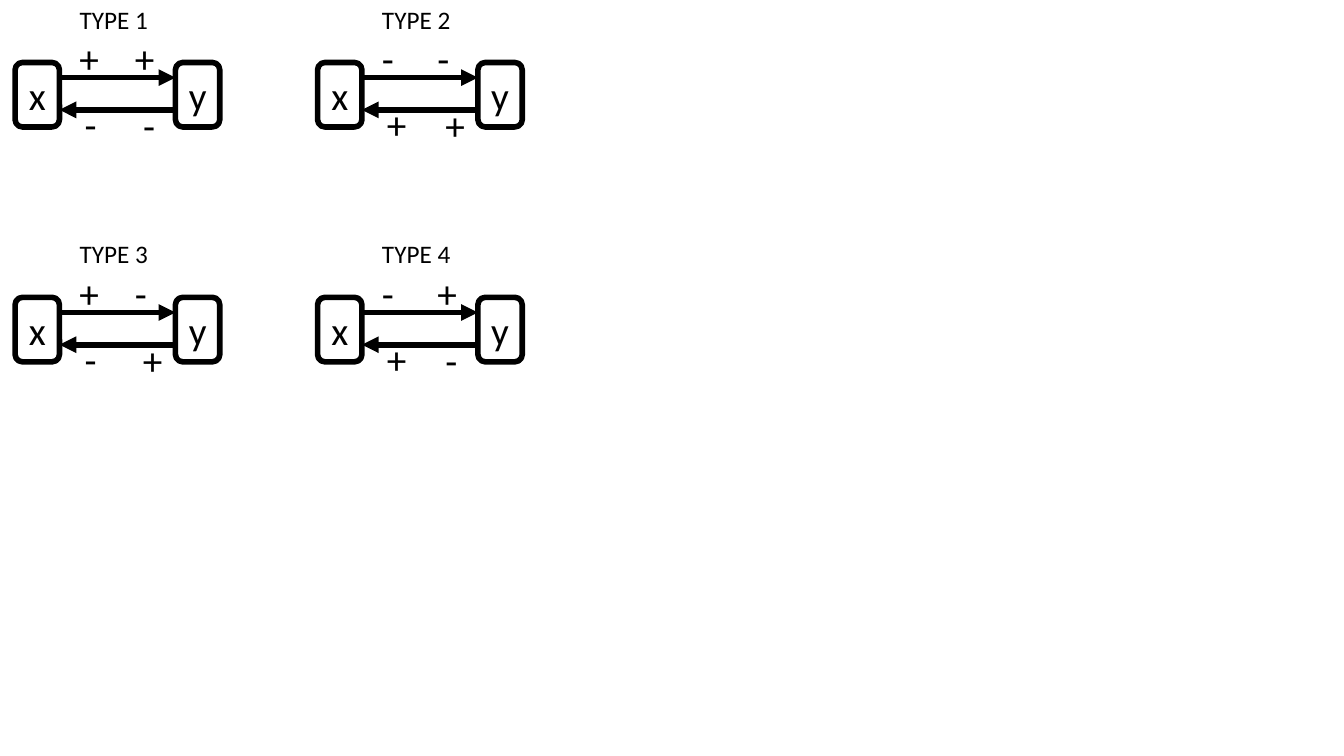
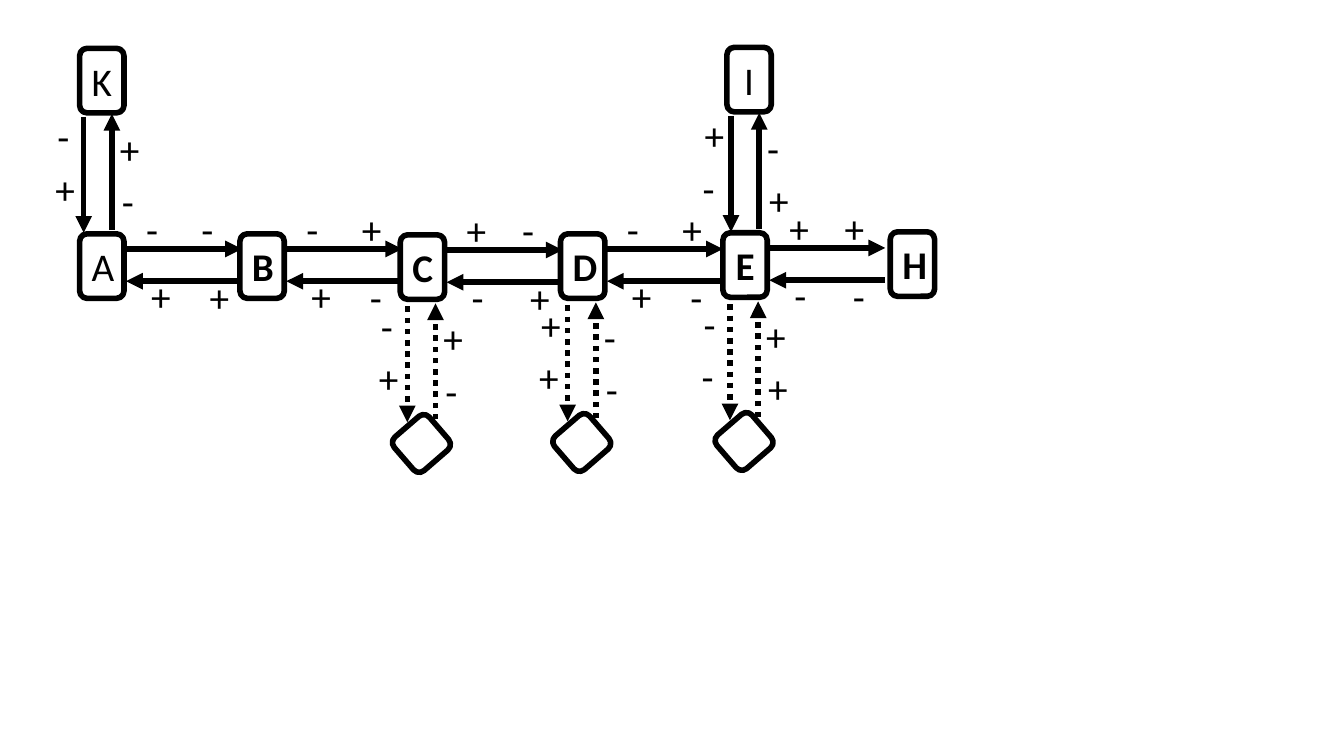
from pptx import Presentation
from pptx import util as u
from pptx.dml.color import RGBColor
from pptx.enum import dml, shapes, text
from pptx.oxml import parse_xml
from pptx.oxml.ns import nsdecls

COLOURS = {"ink": "000000"}
FONT = {"name": "Calibri", "size": u.Pt(28), "bold": False}
STROKE = u.Pt(4)
BOX_W, BOX_H = 0.44, 0.64
DIAMOND_H, DIAMOND_TURN = 0.46, 49.2
REACH = 1.15
SIGN_H = 0.57
SIGN_WIDTHS = {"+": 0.40, "-": 0.32}

ACROSS = {
    "arrows": [(0, 0, REACH, 0), (REACH, 0.32, 0, 0.32)],
    "signs": [(0.10, -0.48), (0.65, -0.48), (0.15, 0.18), (0.73, 0.19)],
}
UPRIGHT = {
    "arrows": [(0, 0, 0, REACH), (0.28, 1.12, 0.28, -0.03)],
    "signs": [(-0.36, -0.09), (-0.38, 0.43), (0.26, 0.03), (0.28, 0.55)],
}

TYPES = [["++--", "--++"], ["+--+", "-++-"]]
CHAIN = {
    "A": (0.79, 2.32, "--++"),
    "B": (2.38, 2.32, "-++-"),
    "C": (3.97, 2.33, "+--+"),
    "D": (5.56, 2.32, "-++-"),
    "E": (7.17, 2.31, "++--"),
    "H": (8.83, 2.30, ""),
}
ABOVE = {"K": ("A", 0.04, "-++-"), "I": ("E", 0.08, "+--+")}
BELOW = {"C": "-++-", "D": "++--", "E": "--++"}


def inches(*lengths):
    """Turn lengths in inches into slide units."""
    return [u.Inches(length) for length in lengths]


def ink():
    """Return the drawing colour."""
    return RGBColor.from_string(COLOURS["ink"])


def write(frame, words, align=None, **changes):
    """Write one formatted line of text in a frame."""
    line = frame.paragraphs[0]
    line.alignment = align
    run = line.add_run()
    run.text = words
    for key, value in {**FONT, **changes}.items():
        setattr(run.font, key, value)
    run.font.color.rgb = ink()


def label(slide, left, top, width, height, words, **changes):
    """Place a caption or sign that does not wrap."""
    frame = slide.shapes.add_textbox(*inches(left, top, width, height)).text_frame
    frame.word_wrap = False
    frame.auto_size = text.MSO_AUTO_SIZE.SHAPE_TO_FIT_TEXT
    write(frame, words, **changes)


def node(slide, left, top, name="", height=BOX_H, turn=0, bold=False):
    """Draw an outlined node with an optional name."""
    box = slide.shapes.add_shape(
        shapes.MSO_SHAPE.ROUNDED_RECTANGLE, *inches(left, top, BOX_W, height))
    box.shadow.inherit = False
    box.fill.background()
    box.line.color.rgb = ink()
    box.line.width = STROKE
    box.rotation = turn
    if name:
        box.text_frame.vertical_anchor = text.MSO_ANCHOR.MIDDLE
        write(box.text_frame, name, text.PP_ALIGN.CENTER, bold=bold)


def arrow(slide, x1, y1, x2, y2, dotted=False):
    """Draw a solid or dotted arrow."""
    link = slide.shapes.add_connector(
        shapes.MSO_CONNECTOR.STRAIGHT, *inches(x1, y1, x2, y2))
    link.line.color.rgb = ink()
    link.line.width = STROKE
    if dotted:
        link.line.dash_style = dml.MSO_LINE.ROUND_DOT
    link.line._get_or_add_ln().append(
        parse_xml(f'<a:tailEnd {nsdecls("a")} type="triangle"/>'))
    link._element.spPr.append(parse_xml(f'<a:effectLst {nsdecls("a")}/>'))


def feedback(slide, left, top, signs, plan, dotted=False):
    """Draw a pair of opposite arrows with their four signs."""
    for x1, y1, x2, y2 in plan["arrows"]:
        arrow(slide, left + x1, top + y1, left + x2, top + y2, dotted)
    for sign, (dx, dy) in zip(signs, plan["signs"]):
        label(slide, left + dx, top + dy, SIGN_WIDTHS[sign], SIGN_H, sign)


def type_panel(slide, left, top, number, signs):
    """Draw one type of relation between x and y."""
    label(slide, left + 0.54, top, 0.89, 0.4, f"TYPE {number}", size=u.Pt(18))
    node(slide, left, top + 0.63, "x")
    node(slide, left + 1.59, top + 0.63, "y")
    feedback(slide, left + 0.44, top + 0.78, signs, ACROSS)


def types_slide(slide):
    """Lay out the four types in a grid."""
    for row, pair in enumerate(TYPES):
        for column, signs in enumerate(pair):
            type_panel(slide, 0.15 + 3 * column, -0.01 + 2.33 * row,
                       2 * row + column + 1, signs)


def network_slide(slide):
    """Draw the chain of nodes with its upper and lower branches."""
    for name, (left, top, signs) in CHAIN.items():
        node(slide, left, top, name, bold=name != "A")
        if signs:
            feedback(slide, left + 0.46, top + 0.15, signs, ACROSS)
    for name, (base, shift, signs) in ABOVE.items():
        left, top, _ = CHAIN[base]
        node(slide, left + shift - 0.04, top - 1.84, name)
        feedback(slide, left + shift, top - 1.16, signs, UPRIGHT)
    for base, signs in BELOW.items():
        left, top, _ = CHAIN[base]
        node(slide, left - 0.01, top + 1.84, height=DIAMOND_H, turn=DIAMOND_TURN)
        feedback(slide, left + 0.07, top + 0.71, signs, UPRIGHT, dotted=True)


def main():
    """Build and save the presentation."""
    deck = Presentation()
    deck.slide_width, deck.slide_height = inches(13.33, 7.5)
    for draw in (types_slide, network_slide):
        draw(deck.slides.add_slide(deck.slide_layouts[6]))
    deck.save("out.pptx")


if __name__ == "__main__":
    main()
